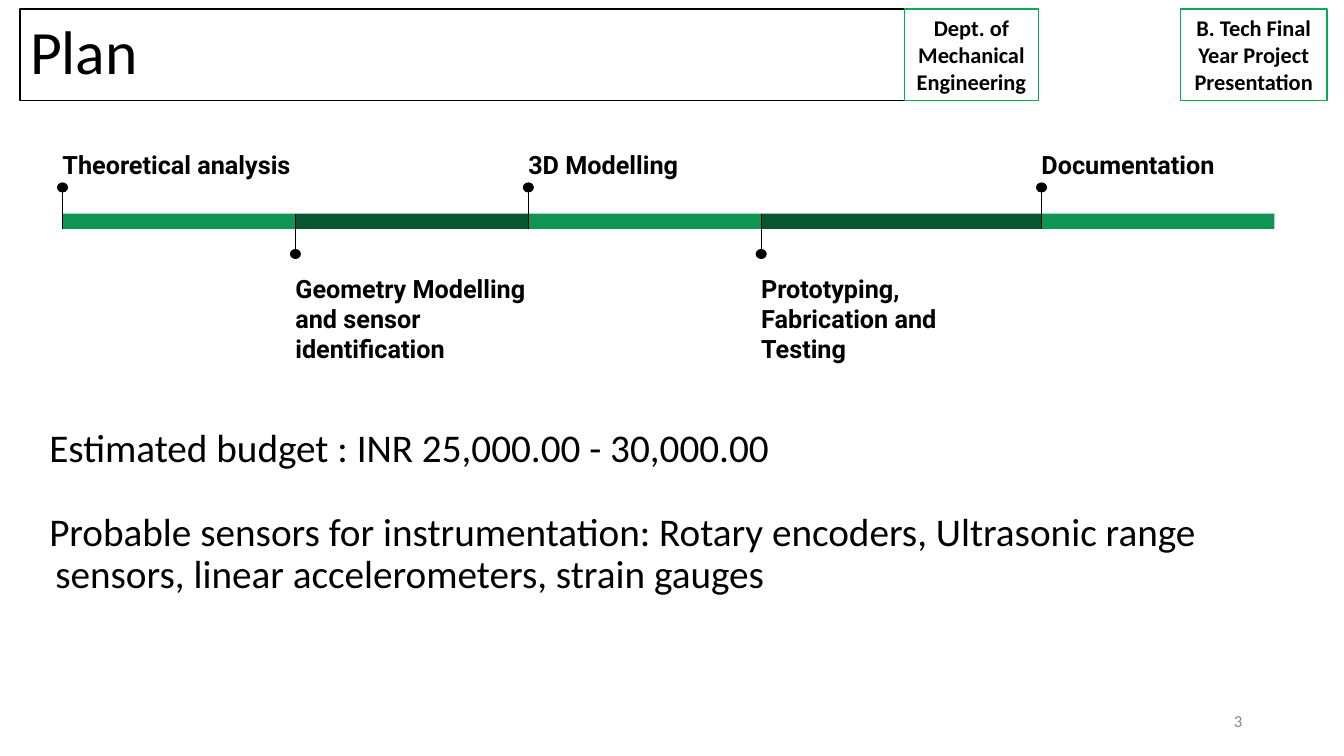
"""Build the project plan slide with its timeline, budget and sensors."""
from lxml import etree
from pptx import Presentation
from pptx import util as u
from pptx.dml.color import RGBColor
from pptx.enum import shapes, text
from pptx.oxml.ns import qn

TITLE = "Plan"
BADGES = [
    ("Dept. of Mechanical Engineering", 8.97, 1.33),
    ("B. Tech Final Year Project Presentation", 11.71, 1.45),
]
STAGES = [
    ("Theoretical analysis", 2.31),
    ("Geometry Modelling and sensor identification", 2.31),
    ("3D Modelling", 2.31),
    ("Prototyping, Fabrication and Testing", 2.78),
    ("Documentation", 2.31),
]
DETAILS = [
    "Estimated budget : INR 25,000.00 - 30,000.00",
    "Probable sensors for instrumentation: Rotary encoders, Ultrasonic range "
    "sensors, linear accelerometers, strain gauges",
]
PAGE = "3"

BLACK, GREY, BORDER = "000000", "888888", "00B050"
BAND_COLOURS = ["0E9453", "085631"]
HEADER_TOP, HEADER_HEIGHT = 0.09, 0.91
TIMELINE_LEFT, BAND_TOP, BAND_HEIGHT = 0.62, 2.12, 0.15
DOT_WIDTH, DOT_HEIGHT = 0.11, 0.1
LABEL_WIDTH, LABEL_HEIGHT, LABEL_INSET = 2.66, 1.04, 0.13

deck = Presentation()
deck.slide_width, deck.slide_height = u.Inches(13.33), u.Inches(7.5)
slide = deck.slides.add_slide(deck.slide_layouts[6])


def colour(value):
    return RGBColor.from_string(value)


def place(*lengths):
    return [u.Inches(length) for length in lengths]


def draw(kind, box, fill=None, line=None):
    part = slide.shapes.add_shape(kind, *place(*box))
    part.shadow.inherit = False
    if fill:
        part.fill.solid()
        part.fill.fore_color.rgb = colour(fill)
    else:
        part.fill.background()
    if line:
        part.line.color.rgb = colour(line)
        part.line.width = u.Pt(1)
    else:
        part.line.fill.background()
    return part


def write(part, lines, size, font="Calibri", ink=BLACK, bold=False,
          align=text.PP_ALIGN.LEFT, anchor=text.MSO_ANCHOR.TOP, inset=None):
    frame = part.text_frame
    frame.word_wrap = True
    frame.vertical_anchor = anchor
    if inset:
        frame.margin_left = frame.margin_right = u.Inches(inset)
        frame.margin_top = frame.margin_bottom = u.Inches(inset)
    frame.text = "\n".join(lines)
    for paragraph in frame.paragraphs:
        paragraph.alignment = align
        paragraph.font.size = u.Pt(size)
        paragraph.font.name = font
        paragraph.font.bold = bold
        paragraph.font.color.rgb = colour(ink)
    return frame.paragraphs


def text_box(box, lines, size, **style):
    return write(slide.shapes.add_textbox(*place(*box)), lines, size, **style)


def stem(x, start, end):
    line = slide.shapes.add_connector(
        shapes.MSO_CONNECTOR.STRAIGHT, *place(x, start, x, end))
    line.line.color.rgb = colour(BLACK)
    line.line.width = u.Pt(0.75)
    etree.SubElement(line._element.spPr, qn("a:effectLst"))


def stage(index, label, x, width):
    above = index % 2 == 0
    draw(shapes.MSO_SHAPE.RECTANGLE, (x, BAND_TOP, width, BAND_HEIGHT),
         fill=BAND_COLOURS[index % 2])
    if above:
        stem(x, 1.87, BAND_TOP + BAND_HEIGHT)
    else:
        stem(x, 2.51, BAND_TOP)
    dot_top = 1.81 if above else 2.47
    draw(shapes.MSO_SHAPE.OVAL,
         (x - DOT_WIDTH / 2, dot_top, DOT_WIDTH, DOT_HEIGHT), fill=BLACK)
    label_top = 0.87 if above else 2.58
    anchor = text.MSO_ANCHOR.BOTTOM if above else text.MSO_ANCHOR.TOP
    text_box((x - LABEL_INSET, label_top, LABEL_WIDTH, LABEL_HEIGHT), [label],
             18, font="Roboto", bold=True, anchor=anchor, inset=LABEL_INSET)


title = draw(shapes.MSO_SHAPE.RECTANGLE,
             (0.2, HEADER_TOP, 8.77, HEADER_HEIGHT), line=BLACK)
write(title, [TITLE], 44, anchor=text.MSO_ANCHOR.MIDDLE)[0].line_spacing = 0.9

for badge, left, width in BADGES:
    frame = draw(shapes.MSO_SHAPE.RECTANGLE,
                 (left, HEADER_TOP, width, HEADER_HEIGHT), line=BORDER)
    write(frame, [badge], 16, bold=True, align=text.PP_ALIGN.CENTER)

stage_left = TIMELINE_LEFT
for index, (label, width) in enumerate(STAGES):
    stage(index, label, stage_left, width)
    stage_left += width

for index, detail in enumerate(text_box((0.2, 4.2, 12.95, 3.15), DETAILS, 28)):
    detail.line_spacing = 0.9
    detail.space_before = u.Pt(30 * index)
    indent = detail._p.get_or_add_pPr()
    indent.set("marL", str(u.Inches(0.25)))
    indent.set("indent", str(u.Inches(-0.06)))

text_box((9.42, 6.95, 3, 0.4), [PAGE], 12, ink=GREY,
         align=text.PP_ALIGN.RIGHT, anchor=text.MSO_ANCHOR.MIDDLE)

deck.save("out.pptx")
